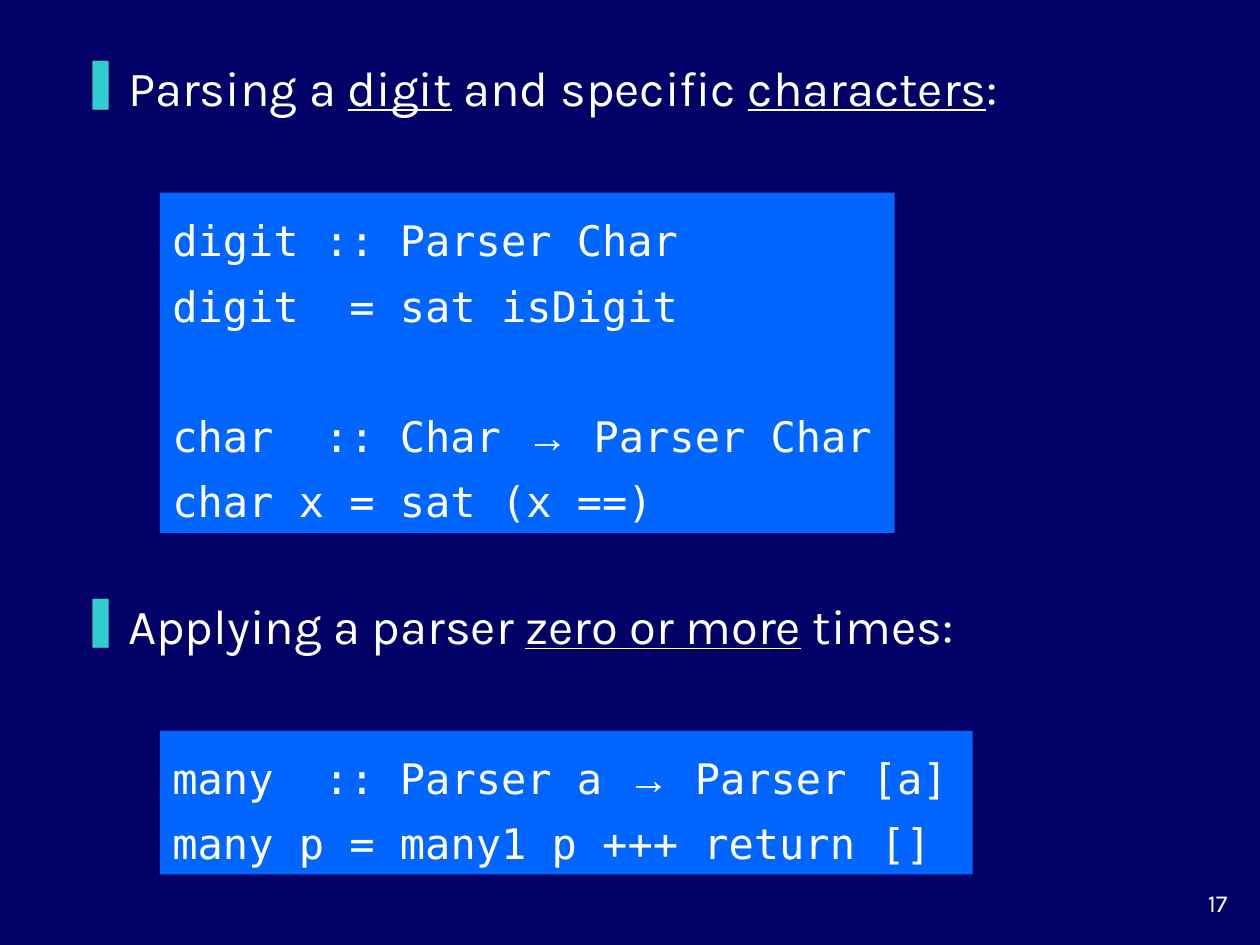
from dataclasses import dataclass
from lxml.etree import SubElement
from pptx import Presentation
from pptx.dml.color import RGBColor as Color
from pptx.enum.shapes import MSO_SHAPE as Preset
from pptx.enum.text import MSO_ANCHOR as Anchor, PP_ALIGN as Align
from pptx.oxml.ns import qn
from pptx.util import Inches, Pt


@dataclass(frozen=True)
class Theme:
    ground: Color = Color.from_string("000066")
    panel: Color = Color.from_string("0066FF")
    accent: Color = Color.from_string("33CCCC")
    ink: Color = Color.from_string("FFFFFF")
    text_font: str = "Karla"
    code_font: str = "DejaVu Sans Mono"
    arrow_font: str = "Arial"
    heading_size: Pt = Pt(28)
    code_size: Pt = Pt(24)
    number_size: Pt = Pt(14)


THEME = Theme()
WIDTH, HEIGHT = Inches(10), Inches(7.5)
COLUMN, ROW = WIDTH / 100, HEIGHT / 75
HEADING_ROWS = 6.8
CODE_OFFSET = 11.2
CODE_INDENT = 7.3
LINE_ROWS = 5.2
ARROW = "→"


def place(left, top, width, height):
    return [round(n) for n in (left * COLUMN, top * ROW, width * COLUMN, height * ROW)]


def style(target, **values):
    for name, value in values.items():
        setattr(target, name, value)


def write(para, text, font, size, **values):
    span = para.add_run()
    span.text = text
    style(span.font, name=font, size=size, **values)
    span.font.color.rgb = THEME.ink


def add_bullet(para):
    props = para._p.get_or_add_pPr()
    props.set("marL", str(Inches(0.38)))
    props.set("indent", str(-Inches(0.38)))
    colour = SubElement(props, qn("a:buClr"))
    SubElement(colour, qn("a:srgbClr")).set("val", str(THEME.accent))
    SubElement(props, qn("a:buChar")).set("char", "❚")


def add_text_box(page, box):
    frame = page.shapes.add_textbox(*place(*box)).text_frame
    frame.word_wrap = True
    return frame.paragraphs[0]


def add_heading(page, box, parts):
    para = add_text_box(page, box)
    para.space_before = Pt(7)
    add_bullet(para)
    for index, text in enumerate(parts):
        write(para, text, THEME.text_font, THEME.heading_size, underline=index % 2 == 1)


def add_code(page, box, groups):
    panel = page.shapes.add_shape(Preset.RECTANGLE, *place(*box))
    panel.shadow.inherit = False
    panel.fill.solid()
    panel.fill.fore_color.rgb = THEME.panel
    panel.line.fill.background()
    frame = panel.text_frame
    style(frame, word_wrap=True, vertical_anchor=Anchor.MIDDLE)
    lines = [(g, n, line) for g, group in enumerate(groups) for n, line in enumerate(group)]
    for index, (group, number, line) in enumerate(lines):
        para = frame.add_paragraph() if index else frame.paragraphs[0]
        gap = Pt(37) if group and number == 0 else Pt(0)
        style(para, alignment=Align.LEFT, line_spacing=1.3, space_before=gap)
        before, arrow, after = line.partition(ARROW)
        for text in filter(None, (before, arrow, after)):
            font = THEME.arrow_font if text == ARROW else THEME.code_font
            write(para, text, font, THEME.code_size)


def add_section(page, box, heading, code_width, groups):
    left, top, width = box
    add_heading(page, (left, top, width, HEADING_ROWS), heading)
    rows = sum(map(len, groups)) + len(groups) - 1
    code_box = (left + CODE_INDENT, top + CODE_OFFSET, code_width, rows * LINE_ROWS + 1)
    add_code(page, code_box, groups)


def add_page_number(page, box, number):
    para = add_text_box(page, box)
    para.alignment = Align.RIGHT
    write(para, number, THEME.text_font, THEME.number_size)


SECTIONS = [
    (
        4.1,
        ["Parsing a ", "digit", " and specific ", "characters", ":"],
        58.3,
        [
            ["digit :: Parser Char", "digit  = sat isDigit"],
            ["char  :: Char → Parser Char", "char x = sat (x ==)"],
        ],
    ),
    (
        46.8,
        ["Applying a parser ", "zero or more", " times:"],
        64.5,
        [["many  :: Parser a → Parser [a]", "many p = many1 p +++ return []"]],
    ),
]

deck = Presentation()
style(deck, slide_width=WIDTH, slide_height=HEIGHT)
page = deck.slides.add_slide(deck.slide_layouts.get_by_name("Blank"))
page.background.fill.solid()
page.background.fill.fore_color.rgb = THEME.ground
for top, heading, code_width, groups in SECTIONS:
    add_section(page, (5.4, top, 87), heading, code_width, groups)
add_page_number(page, (91.7, 70, 6.7, 3.3), "17")
deck.save("out.pptx")
